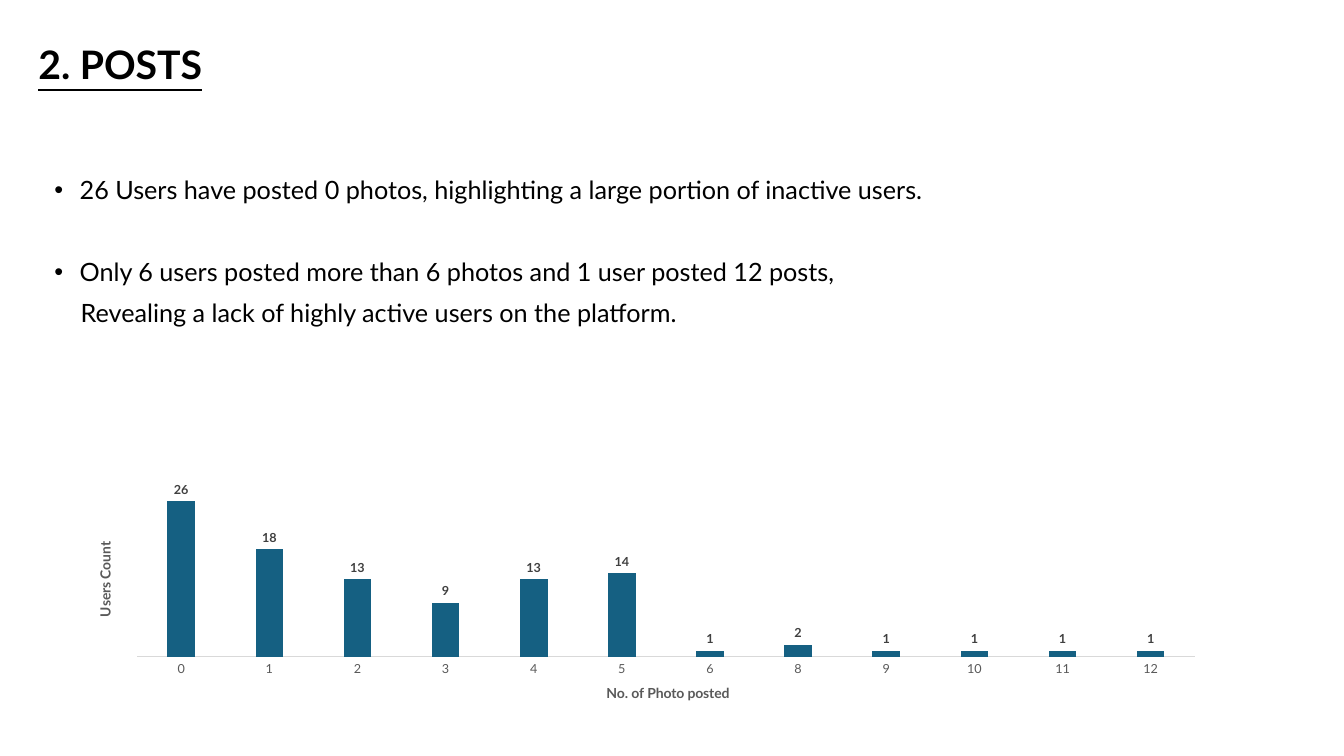
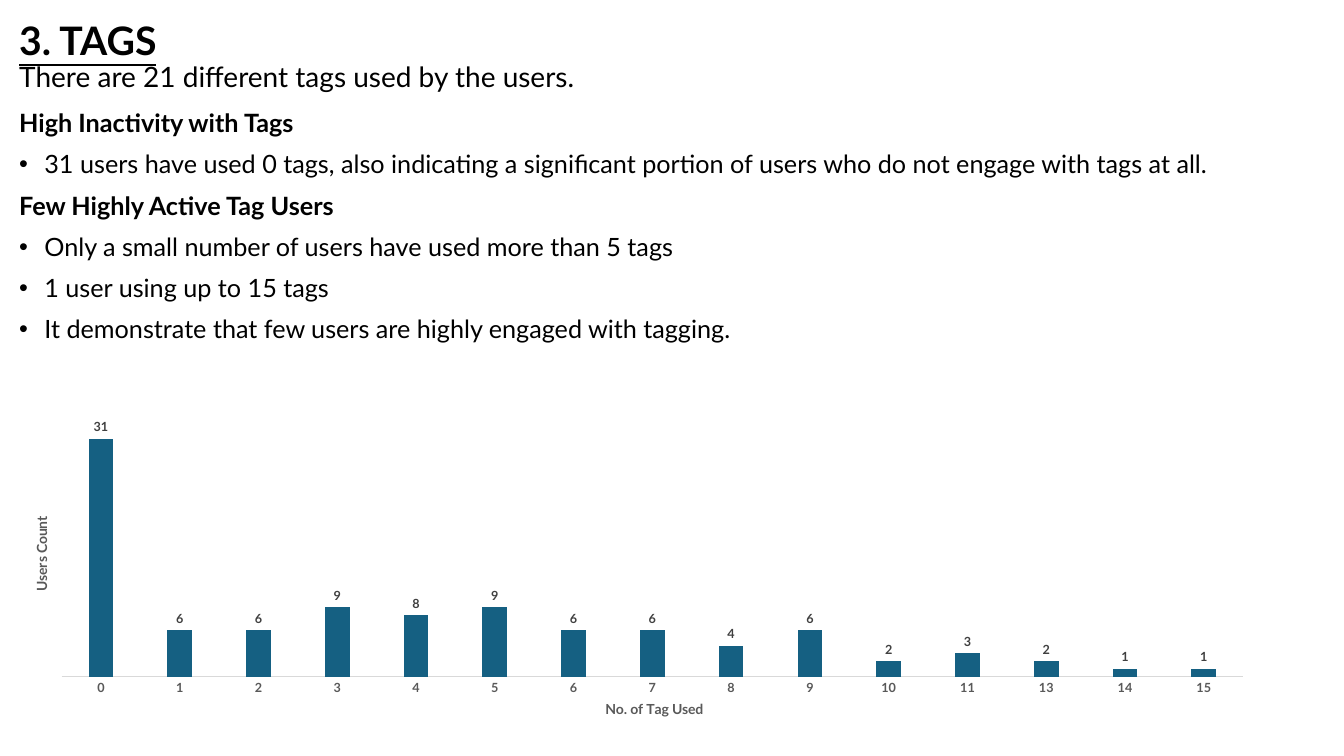
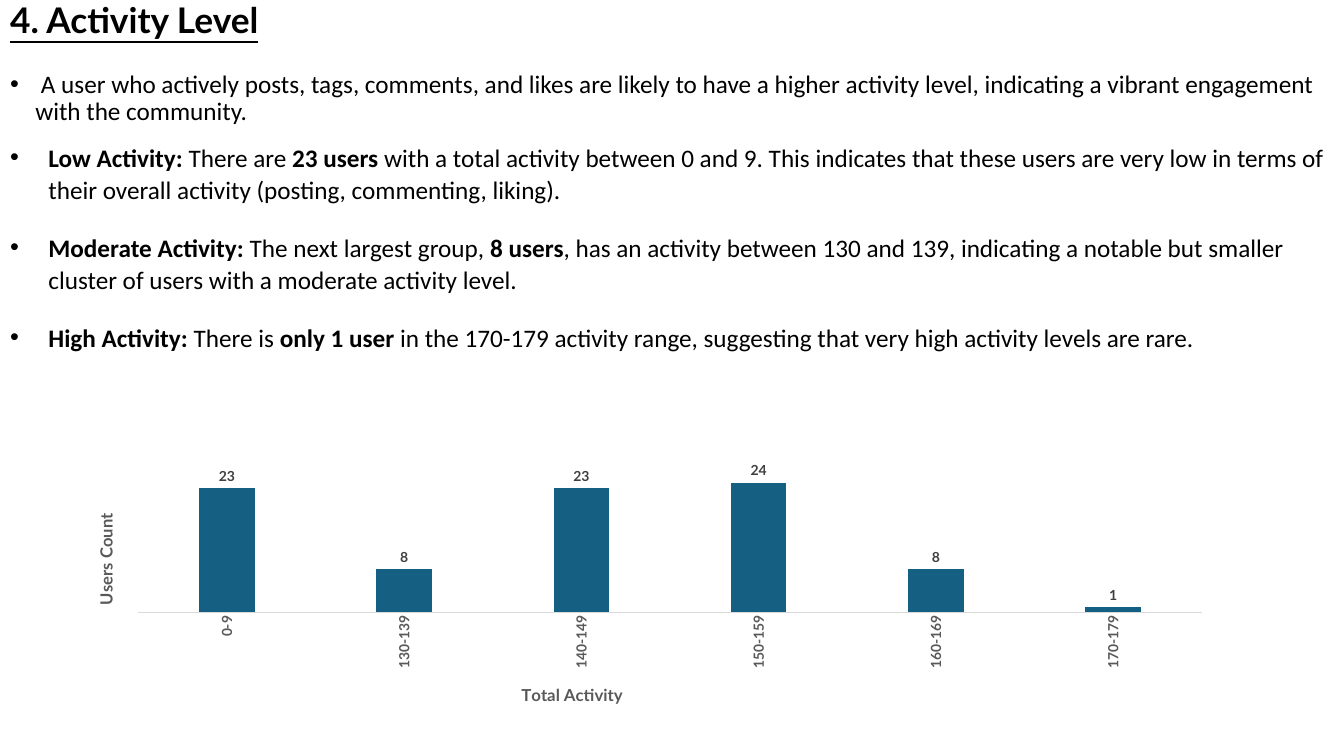
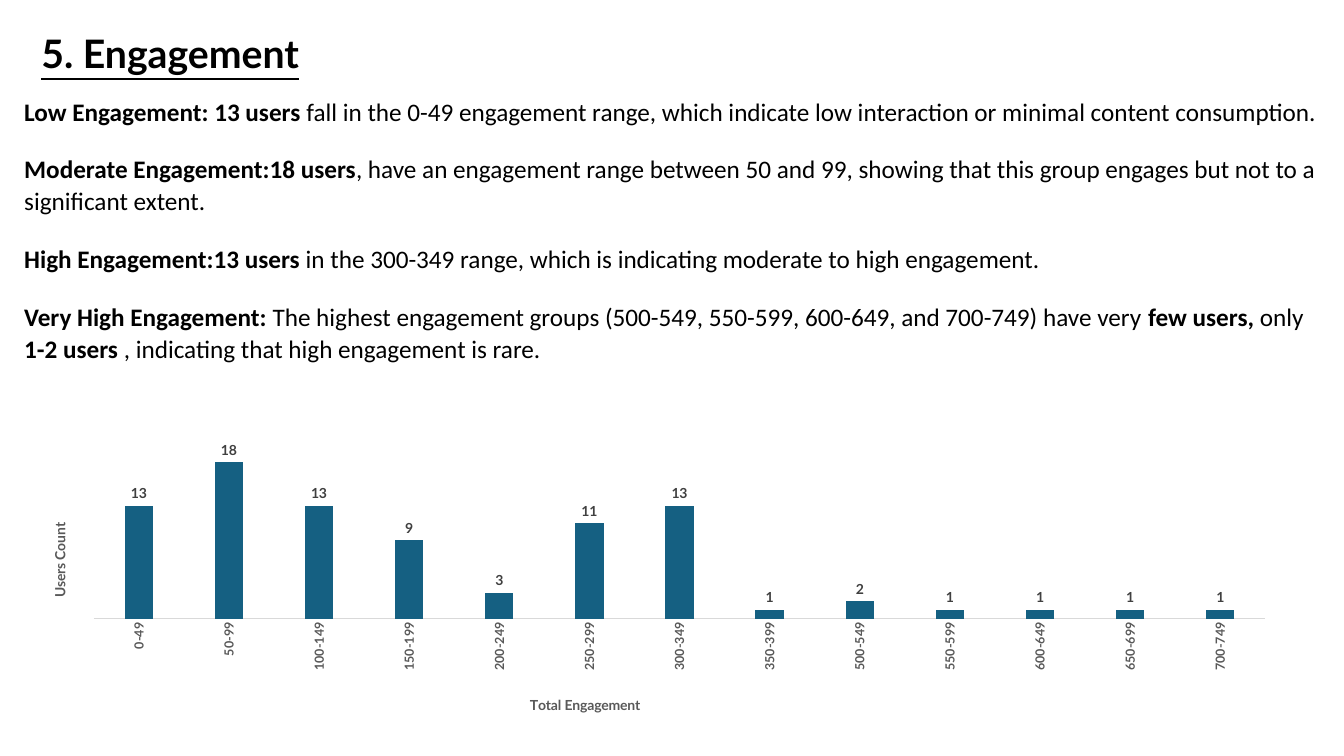
from pptx import Presentation
from pptx import util as u
from pptx.chart import data
from pptx.dml.color import RGBColor
from pptx.enum import chart as ch
from pptx.enum import text
from pptx.oxml import parse_xml
from pptx.oxml.ns import nsdecls, qn

BLACK = RGBColor(0x00, 0x00, 0x00)
BAR_BLUE = RGBColor(0x15, 0x60, 0x82)
AXIS_GRAY = RGBColor(0x59, 0x59, 0x59)
LABEL_GRAY = RGBColor(0x40, 0x40, 0x40)
LINE_GRAY = RGBColor(0xD9, 0xD9, 0xD9)

TIGHT = {"line_spacing": 0.9, "space_before": u.Pt(10), "space_after": u.Pt(0)}
LOOSE = {"line_spacing": 1.07, "space_before": u.Pt(10), "space_after": u.Pt(8)}
APART = {**TIGHT, "space_before": u.Pt(39.4)}

PLAIN = (TIGHT, 0, 0)
BULLET = (TIGHT, 0.25, -0.25)
BULLET_APART = (APART, 0.25, -0.25)
CONTINUED = (TIGHT, 0.26, 0)
LEVEL = (LOOSE, 0.38, -0.38)
REMARK = (LOOSE, 0, 0)


def apply(target, values):
    """Set each named attribute of the target."""
    for name, value in values.items():
        setattr(target, name, value)


class Deck:
    """Holds the deck style and the slide being filled."""

    def __init__(self):
        """Start an empty widescreen deck."""
        self.prs = Presentation()
        self.prs.slide_width = u.Inches(13.33)
        self.prs.slide_height = u.Inches(7.5)
        self.slide = None

    def place(self, holder, box):
        """Move a placeholder to a box in inches and return its text frame."""
        names = ("left", "top", "width", "height")
        apply(holder, dict(zip(names, map(u.Inches, box))))
        frame = holder.text_frame
        apply(frame, {"word_wrap": True, "auto_size": text.MSO_AUTO_SIZE.NONE})
        return frame

    def font(self, font, size, color=BLACK, bold=False, name="Lato", underline=None):
        """Format a font."""
        apply(font, {"size": u.Pt(size), "bold": bold, "name": name, "underline": underline})
        font.color.rgb = color

    def title(self, heading, box, size=28, lead=None):
        """Add a slide with an underlined heading and an optional lead line."""
        self.slide = self.prs.slides.add_slide(self.prs.slide_layouts[1])
        frame = self.place(self.slide.shapes.title, box)
        apply(frame, {"vertical_anchor": text.MSO_ANCHOR.MIDDLE, "margin_top": 0, "margin_bottom": 0})
        line = frame.paragraphs[0]
        apply(line, {"alignment": text.PP_ALIGN.LEFT, "line_spacing": 0.9, "space_before": u.Pt(0)})
        run = line.add_run()
        run.text = heading
        self.font(run.font, size, bold=True, underline=True)
        if lead:
            line.add_line_break()
            run = line.add_run()
            run.text = lead
            self.font(run.font, 20, underline=False)

    def body(self, box, points, name="Lato"):
        """Fill the body with styled points, where ** switches bold on and off."""
        frame = self.place(self.slide.placeholders[1], box)
        for i, ((spacing, indent, hang), words) in enumerate(points):
            point = frame.add_paragraph() if i else frame.paragraphs[0]
            apply(point, spacing)
            props = point._p.get_or_add_pPr()
            props.set("marL", str(u.Inches(indent)))
            props.set("indent", str(u.Inches(hang)))
            if hang:
                props.append(parse_xml(f'<a:buFont {nsdecls("a")} typeface="Arial"/>'))
                props.append(parse_xml(f'<a:buChar {nsdecls("a")} char="•"/>'))
            else:
                props.append(parse_xml(f'<a:buNone {nsdecls("a")}/>'))
            for j, part in enumerate(words.split("**")):
                if part:
                    run = point.add_run()
                    run.text = part
                    self.font(run.font, 18, bold=j % 2 == 1, name=name)

    def layout(self, parent, chart_box, box, inner=False):
        """Fix a chart part at a slide position in inches."""
        left, top, width, height = chart_box
        scaled = [(box[0] - left) / width, (box[1] - top) / height]
        scaled += [box[2] / width, box[3] / height] if inner else []
        target = '<c:layoutTarget val="inner"/>' if inner else ""
        modes = '<c:xMode val="edge"/><c:yMode val="edge"/>'
        sizes = "".join(f'<c:{key} val="{value:.4f}"/>' for key, value in zip("xywh", scaled))
        fixed = parse_xml(f'<c:layout {nsdecls("c")}><c:manualLayout>{target}{modes}{sizes}'
                          '</c:manualLayout></c:layout>')
        present = parent.find(qn("c:layout"))
        if present is None:
            parent.insert(0, fixed)
        else:
            parent.replace(present, fixed)

    def chart(self, box, plot_box, counts, top_value, caption, caption_at, users_at,
              title_size=10, tick_size=9, label_size=9, tick_bold=True, upright=False):
        """Add a column chart of user counts by category."""
        source = data.CategoryChartData()
        source.categories = list(counts)
        source.add_series("Series 1", list(counts.values()))
        chart = self.slide.shapes.add_chart(
            ch.XL_CHART_TYPE.COLUMN_CLUSTERED, *map(u.Inches, box), source).chart
        apply(chart, {"has_legend": False, "has_title": False})
        self.font(chart.font, 10)
        plot = chart.plots[0]
        apply(plot, {"gap_width": 219, "overlap": -27, "vary_by_categories": False,
                     "has_data_labels": True})
        apply(plot.data_labels, {"show_value": True,
                                 "position": ch.XL_LABEL_POSITION.OUTSIDE_END})
        self.font(plot.data_labels.font, label_size, LABEL_GRAY, True)
        bars = plot.series[0].format.fill
        bars.solid()
        bars.fore_color.rgb = BAR_BLUE

        groups, users = chart.category_axis, chart.value_axis
        apply(groups, {"major_tick_mark": ch.XL_TICK_MARK.NONE, "has_major_gridlines": False})
        groups.format.line.color.rgb = LINE_GRAY
        groups.format.line.width = u.Pt(0.75)
        self.font(groups.tick_labels.font, tick_size, AXIS_GRAY, tick_bold)
        apply(users, {"minimum_scale": 0, "maximum_scale": top_value,
                      "has_major_gridlines": False, "visible": False})
        root = chart.element
        for axis, words, spot, tag in ((groups, caption, caption_at, "catAx"),
                                       (users, "Users Count", users_at, "valAx")):
            frame = axis.axis_title.text_frame
            frame.text = words
            self.font(frame.paragraphs[0].runs[0].font, title_size, AXIS_GRAY, True)
            self.layout(root.xpath(f".//c:{tag}/c:title")[0], box, spot)
        self.layout(root.xpath(".//c:plotArea")[0], box, plot_box, inner=True)
        turned = root.xpath(".//c:valAx/c:title//a:bodyPr")
        if upright:
            turned += root.xpath(".//c:catAx/c:txPr/a:bodyPr")
        for words in turned:
            words.set("rot", "-5400000")
            words.set("vert", "horz")


def main():
    """Build and save the four slides."""
    deck = Deck()

    deck.title("2. POSTS", (0.28, 0.25, 11.5, 0.83))
    deck.body((0.44, 1.71, 12.42, 5.05), [
        (BULLET, "26 Users have posted 0 photos, highlighting a large portion of inactive users."),
        (BULLET_APART, "Only 6 users posted more than 6 photos and 1 user posted 12 posts,"),
        (CONTINUED, "Revealing a lack of highly active users on the platform."),
    ])
    deck.chart((0.83, 3.85, 11.58, 3.15), (1.36, 4.75, 10.49, 1.8),
               {"0": 26, "1": 18, "2": 13, "3": 9, "4": 13, "5": 14, "6": 1, "8": 2,
                "9": 1, "10": 1, "11": 1, "12": 1},
               30, "No. of Photo posted", (5.99, 6.79), (0.92, 5.38), tick_bold=False)

    deck.title("3. TAGS", (0.09, 0.12, 11.5, 0.9),
               lead="There are 21 different tags used by the users.")
    deck.body((0.09, 1.05, 13.2, 5.91), [
        (PLAIN, "**High Inactivity with Tags**"),
        (BULLET, "31 users have used 0 tags, also indicating a significant portion of users "
                 "who do not engage with tags at all."),
        (PLAIN, "**Few Highly Active Tag Users**"),
        (BULLET, "Only a small number of users have used more than 5 tags"),
        (BULLET, "1 user using up to 15 tags"),
        (BULLET, "It demonstrate that few users are highly engaged with tagging."),
    ])
    deck.chart((0.24, 3.67, 12.23, 3.49), (0.61, 4.05, 11.72, 2.68),
               {"0": 31, "1": 6, "2": 6, "3": 9, "4": 8, "5": 9, "6": 6, "7": 6, "8": 4,
                "9": 6, "10": 2, "11": 3, "13": 2, "14": 1, "15": 1},
               35, "No. of Tag Used", (5.98, 6.93), (0.29, 5.11))

    deck.title("4. Activity Level", (0, 0, 11.5, 0.43), size=25.2)
    deck.body((0, 0.66, 13.33, 6.84), [
        (BULLET, " A user who actively posts, tags, comments, and likes are likely to have a "
                 "higher activity level, indicating a vibrant engagement with the community."),
        (LEVEL, "**Low Activity:** There are **23 users** with a total activity between 0 and 9. "
                "This indicates that these users are very low in terms of their overall activity "
                "(posting, commenting, liking)."),
        (LEVEL, "**Moderate Activity:** The next largest group, **8 users**, has an activity "
                "between 130 and 139, indicating a notable but smaller cluster of users with a "
                "moderate activity level."),
        (LEVEL, "**High Activity:** There is **only 1 user** in the 170-179 activity range, "
                "suggesting that very high activity levels are rare."),
    ], name="Calibri")
    deck.chart((0.7, 3.85, 11.5, 3.19), (1.37, 4.48, 10.55, 1.63),
               {"0-9": 23, "130-139": 8, "140-149": 23, "150-159": 24, "160-169": 8,
                "170-179": 1},
               30, "Total Activity", (5.14, 6.79), (0.9, 5.09),
               title_size=12, tick_size=10, label_size=10, upright=True)

    deck.title("5. Engagement", (0.31, 0.23, 11.5, 0.65))
    deck.body((0.14, 0.88, 13.08, 6.39), [
        (REMARK, "**Low Engagement: 13 users** fall in the 0-49 engagement range, which indicate "
                 "low interaction or minimal content consumption."),
        (REMARK, "**Moderate Engagement:18 users**, have an engagement range between 50 and 99, "
                 "showing that this group engages but not to a significant extent."),
        (REMARK, "**High Engagement:13 users** in the 300-349 range, which is indicating "
                 "moderate to high engagement."),
        (REMARK, "**Very High Engagement:** The highest engagement groups (500-549, 550-599, "
                 "600-649, and 700-749) have very **few users, **only **1-2 users **, "
                 "indicating that high engagement is rare."),
    ], name="Calibri")
    deck.chart((0.31, 3.86, 12.35, 3.26), (0.93, 4.42, 11.62, 1.74),
               {"0-49": 13, "50-99": 18, "100-149": 13, "150-199": 9, "200-249": 3,
                "250-299": 11, "300-349": 13, "350-399": 1, "500-549": 2, "550-599": 1,
                "600-649": 1, "650-699": 1, "700-749": 1},
               20, "Total Engagement", (5.23, 6.9), (0.47, 5.18),
               label_size=10, upright=True)

    deck.prs.save("out.pptx")


if __name__ == "__main__":
    main()
